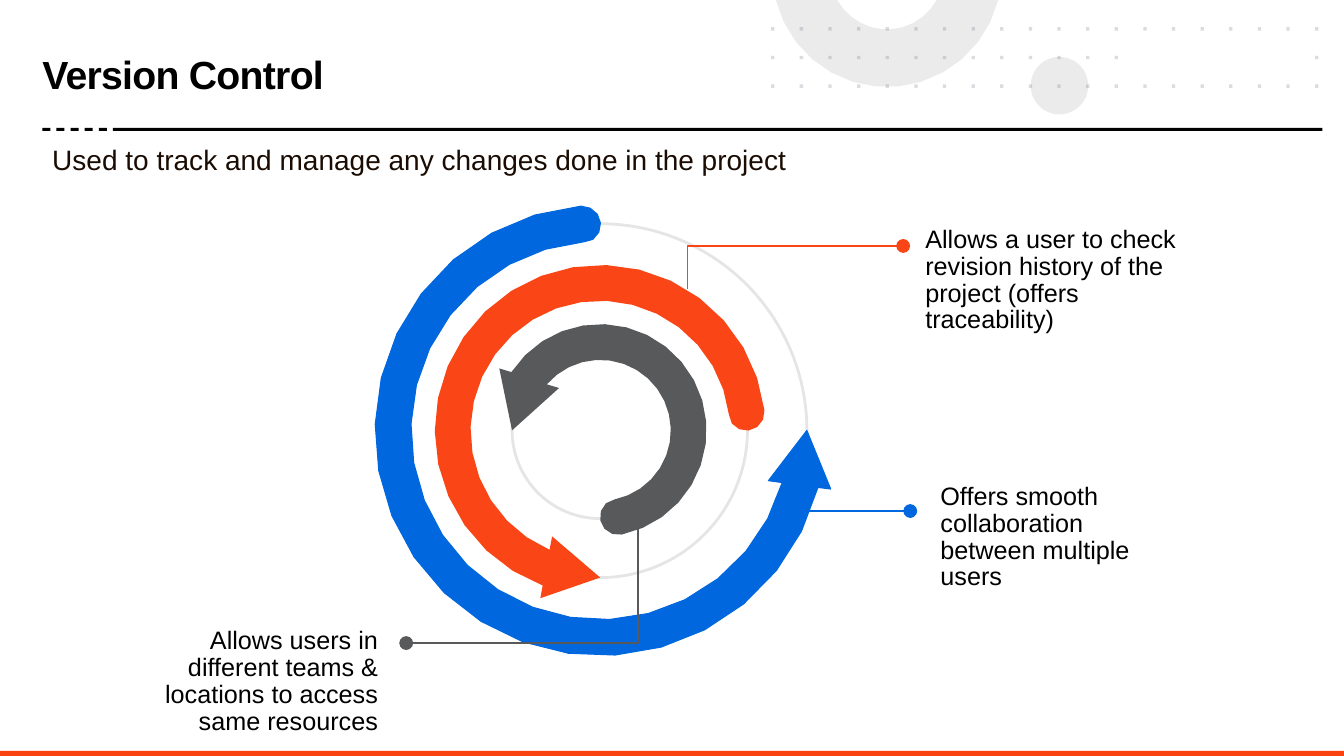
import math

import pptx
import pptx.dml.color
import pptx.enum.shapes
import pptx.enum.text
import pptx.oxml
import pptx.oxml.ns
import pptx.util

COLUMNS, ROWS = 133.33, 75
COLORS = {
    "ink": "000000", "body": "1A0C02", "orange": "FA4516", "footer": "FA4211",
    "blue": "0067DF", "gray": "58595B", "pale": "D9D9D9", "slate": "44546A",
}
ALIGN = pptx.enum.text.PP_ALIGN
ANCHOR = pptx.enum.text.MSO_ANCHOR
FIT = pptx.enum.text.MSO_AUTO_SIZE
PRESET = pptx.enum.shapes.MSO_SHAPE


def grid(cells):
    """Turn grid cells, a tenth of an inch each, into slide units."""
    return pptx.util.Inches(cells / 10)


def polar(center, radius, degrees):
    """Point on a circle; angles run clockwise from the right."""
    angle = math.radians(degrees)
    return center[0] + radius * math.cos(angle), center[1] + radius * math.sin(angle)


def arc(center, radius, start, end, step=12):
    """Points along an arc, pushed out slightly so its chords straddle the curve."""
    steps = math.ceil(abs(end - start) / step)
    radius *= 1.5 - math.cos(math.radians(step / 2)) / 2
    return [polar(center, radius, start + (end - start) * i / steps)
            for i in range(steps + 1)]


def assign(target, values):
    for name, value in values.items():
        setattr(target, name, value)


def sub_element(parent, tag, **attributes):
    child = pptx.oxml.parse_xml(f"<a:{tag} {pptx.oxml.ns.nsdecls('a')}/>")
    for name, value in attributes.items():
        child.set(name, value)
    parent.append(child)


class SlideBuilder:
    font = "Arial"

    def __init__(self):
        self.deck = pptx.Presentation()
        assign(self.deck, {"slide_width": grid(COLUMNS), "slide_height": grid(ROWS)})
        self.shapes = self.deck.slides.add_slide(self.deck.slide_layouts[6]).shapes

    def color(self, fill, name, opacity=100):
        fill.solid()
        fill.fore_color.rgb = pptx.dml.color.RGBColor.from_string(COLORS[name])
        if opacity < 100:
            node = fill._xPr.find(".//" + pptx.oxml.ns.qn("a:srgbClr"))
            sub_element(node, "alpha", val=str(opacity * 1000))

    def paint(self, shape, fill=None, line=None, width=1, opacity=100):
        shape.shadow.inherit = False
        if fill:
            self.color(shape.fill, fill, opacity)
        else:
            shape.fill.background()
        self.stroke(shape, line, width, opacity)

    def stroke(self, shape, line, width, opacity=100):
        if line:
            shape.line.width = pptx.util.Pt(width)
            self.color(shape.line.fill, line, opacity)
        else:
            shape.line.fill.background()

    def bar(self, x, y, width, height, fill):
        self.paint(self.shapes.add_shape(
            PRESET.RECTANGLE, *map(grid, (x, y, width, height))), fill)

    def circle(self, center, radius, **style):
        box = center[0] - radius, center[1] - radius, 2 * radius, 2 * radius
        self.paint(self.shapes.add_shape(PRESET.OVAL, *map(grid, box)), **style)

    def outline(self, contours, closed=True, **style):
        paths = [[(grid(x), grid(y)) for x, y in contour] for contour in contours]
        builder = self.shapes.build_freeform(*paths[0][0], scale=1.0)
        for index, corners in enumerate(paths):
            if index:
                builder.move_to(*corners[0])
            builder.add_line_segments(corners[1:], close=closed)
        shape = builder.convert_to_shape()
        self.paint(shape, **style)
        return shape

    def dots(self, cells):
        """One dot pattern from (column, row) cells."""
        pitch, side = 2.84, 0.33
        squares = []
        for column, row in cells:
            x, y = 76.5 + pitch * column, 2.7 + pitch * row
            squares.append([(x, y), (x + side, y), (x + side, y + side), (x, y + side)])
        self.outline(squares, fill="slate", opacity=20)

    def ring_arrow(self, center, radius, origin, **style):
        """Arrow with a round tail at origin, turning 270 degrees counterclockwise."""
        half, head_half, head_length = 1.77, 3.12, 5.45
        tail = origin - math.degrees(math.asin(half / radius))
        tip = origin - 270
        turn = 2 * math.degrees(math.asin(head_length / 2 / radius))
        neck = polar(center, radius, tip + turn)
        slant = tip + turn / 2

        def body_edge(offset):
            bend = math.radians(turn / 2)
            lean = math.degrees(math.atan2(offset * math.sin(bend),
                                           radius + offset * math.cos(bend)))
            return arc(center, radius + offset, tail, tip + turn - lean)

        head = [polar(neck, head_half, slant), polar(center, radius, tip),
                polar(neck, -head_half, slant)]
        cap = arc(polar(center, radius, tail), half, tail + 180, tail, step=30)[1:-1]
        self.outline([body_edge(half) + head + body_edge(-half)[::-1] + cap], **style)

    def leader(self, points, color):
        """Line with a round dot at its first point."""
        if len(points) == 2:
            line = self.shapes.add_connector(
                pptx.enum.shapes.MSO_CONNECTOR.STRAIGHT,
                *(grid(length) for point in points for length in point))
            self.stroke(line, color, 1)
            sub_element(line._element.spPr, "effectLst")
        else:
            line = self.outline([points], closed=False, line=color)
        sub_element(line.line._get_or_add_ln(), "headEnd", type="oval", w="lg", len="lg")

    def text(self, box, words, size, color="ink", insets=(1, 0.5, 1, 0.5),
             frame=None, paragraph=None, bold=False, spacing=0):
        holder = self.shapes.add_textbox(*map(grid, box)).text_frame
        sides = ("margin_left", "margin_top", "margin_right", "margin_bottom")
        assign(holder, {"word_wrap": True, **dict(zip(sides, map(grid, insets))),
                        **(frame or {})})
        line = holder.paragraphs[0]
        assign(line, paragraph or {})
        run = line.add_run()
        run.text = words
        assign(run.font, {"name": self.font, "size": pptx.util.Pt(size), "bold": bold})
        self.color(run.font.fill, color)
        if spacing:
            run._r.get_or_add_rPr().set("spc", str(spacing))

    def callout(self, box, words, align=ALIGN.LEFT):
        self.text(box, words, 18, insets=(1.3, 0.5, 1.3, 0.7),
                  frame={"auto_size": FIT.SHAPE_TO_FIT_TEXT},
                  paragraph={"alignment": align, "line_spacing": 0.89})


def main():
    slide = SlideBuilder()

    slide.circle((105.1, 8.5), 2.85, fill="pale", opacity=50)
    ornament = (88, -2.73)
    slide.outline([arc(ornament, 11.33, 13.9, 166.1) + arc(ornament, 5.63, 151, 29)],
                  fill="pale", opacity=50)
    for first, end in ((14, 20), (0, 6), (6, 12), (12, 14)):
        slide.dots([(column, row) for row in range(3) for column in range(first, end)
                    if row != 1 or not 13 <= column <= 18])

    slide.text((4.2, 3.9, 72.3, 7.5), "Version Control", 28, insets=(0, 0, 0, 0),
               frame={"vertical_anchor": ANCHOR.MIDDLE},
               paragraph={"line_spacing": 0.85}, bold=True, spacing=-50)
    slide.bar(11.2, 12.7, 120, 0.3, "ink")
    slide.bar(0, 74.5, COLUMNS, 0.5, "footer")
    slide.text((4.2, 13.6, 126.7, 4.4),
               "Used to track and manage any changes done in the project", 20, "body",
               frame={"auto_size": FIT.SHAPE_TO_FIT_TEXT},
               paragraph={"alignment": ALIGN.JUSTIFY})
    for dash in range(5):
        slide.bar(4.2 + 1.4 * dash, 12.7, 0.8, 0.3, "ink")

    hub = (59.55, 42.7)
    rings = (("gray", 8.75, 90, None), ("orange", 14.6, 0, None),
             ("blue", 20.5, -90, "blue"))
    for _, radius, _, _ in reversed(rings):
        slide.circle(hub, radius, line="ink", width=2, opacity=10)
    for color, radius, origin, edge in rings:
        slide.ring_arrow(hub, radius, origin, fill=color, line=edge, width=0.75)

    slide.callout((92, 47.5, 26.7, 12),
                  "Offers smooth collaboration between multiple users")
    slide.leader([(90.3, 50.7), (79.3, 50.7)], "blue")
    slide.leader([(40.3, 63.8), (63.3, 63.8), (63.3, 52.2)], "gray")
    slide.callout((10.8, 61.8, 28, 12),
                  "Allows users in different teams & locations to access same resources",
                  ALIGN.RIGHT)
    slide.callout((90.5, 22, 30.3, 12), "Allows a user to check revision history "
                  "of the project (offers traceability)")
    slide.leader([(89.6, 24.4), (68.2, 24.4), (68.2, 28.7)], "orange")

    slide.deck.save("out.pptx")


if __name__ == "__main__":
    main()
